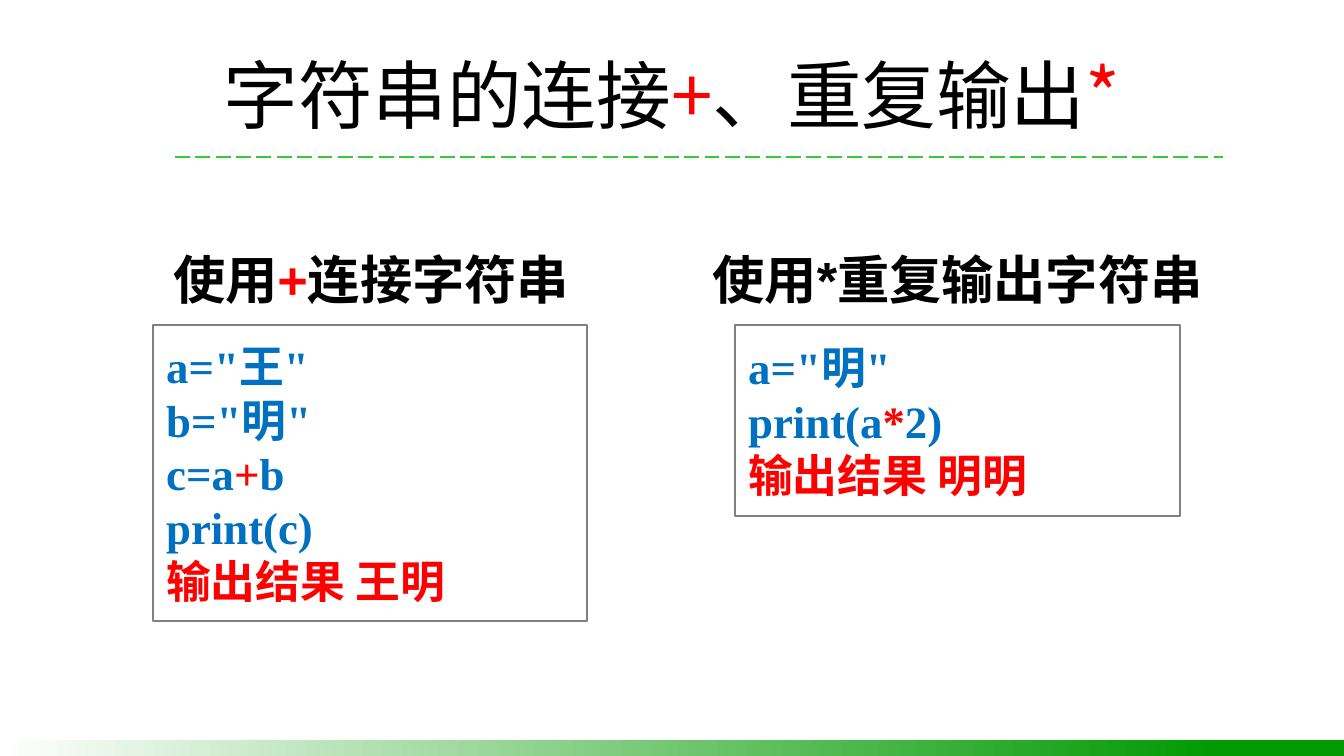
from lxml import etree
from pptx import Presentation, util as u
from pptx.dml.color import RGBColor
from pptx.enum import dml, shapes, text
from pptx.oxml.ns import qn

# Content: parts between bars are shown in red
TITLE = "字符串的连接|+|、重复输出|*|"
EXAMPLES = [
    {
        "heading": "使用|+|连接字符串",
        "heading_box": (122, 241, 498, 76),
        "code": ['a="王"', 'b="明"', "c=a|+|b", "print(c)", "|输出结果 王明|"],
        "code_box": (153, 325, 434, 296),
    },
    {
        "heading": "使用*重复输出字符串",
        "heading_box": (672, 241, 571, 76),
        "code": ['a="明"', "print(a|*|2)", "|输出结果 明明|"],
        "code_box": (735, 325, 445, 191),
    },
]

BLACK = RGBColor(0x00, 0x00, 0x00)
WHITE = RGBColor(0xFF, 0xFF, 0xFF)
RED = RGBColor(0xFF, 0x00, 0x00)
BLUE = RGBColor(0x00, 0x70, 0xC0)
GRAY = RGBColor(0x80, 0x80, 0x80)
GREEN = RGBColor(0x00, 0x99, 0x00)
LIGHT_GREEN = RGBColor(0x33, 0xCC, 0x33)

CJK_FONT = "Noto Sans CJK SC"
WIDTH, HEIGHT = 1344, 756
EMU_PER_PX = u.Inches(10) / WIDTH


def px(*lengths):
    return [u.Emu(round(length * EMU_PER_PX)) for length in lengths]


def write_text(shape, lines, size, font, color, bold=False,
               align=text.PP_ALIGN.LEFT, anchor=text.MSO_ANCHOR.MIDDLE):
    frame = shape.text_frame
    frame.word_wrap = True
    frame.vertical_anchor = anchor
    for number, line in enumerate(lines):
        paragraph = frame.paragraphs[0] if number == 0 else frame.add_paragraph()
        paragraph.alignment = align
        for index, part in enumerate(line.split("|")):
            if not part:
                continue
            run = paragraph.add_run()
            run.text = part
            run.font.size = u.Pt(size)
            run.font.name = font
            run.font.bold = bold
            run.font.color.rgb = RED if index % 2 else color
            # Font for the Chinese characters
            etree.SubElement(run.font._element, qn("a:ea"), typeface=CJK_FONT)


def add_rectangle(slide, box):
    shape = slide.shapes.add_shape(shapes.MSO_SHAPE.RECTANGLE, *px(*box))
    shape.shadow.inherit = False
    return shape


presentation = Presentation()
presentation.slide_width, presentation.slide_height = px(WIDTH, HEIGHT)
slide = presentation.slides.add_slide(presentation.slide_layouts[6])

# Dashed rule under the title
rule = slide.shapes.add_connector(shapes.MSO_CONNECTOR.STRAIGHT, *px(175, 157, 1223, 157))
rule.line.color.rgb = LIGHT_GREEN
rule.line.width = u.Pt(1)
rule.line.dash_style = dml.MSO_LINE.LONG_DASH
etree.SubElement(rule._element.spPr, qn("a:effectLst"))

# Footer band, green fading to white on the left
band = add_rectangle(slide, (0, 740, WIDTH, 16))
band.line.fill.background()
band.fill.gradient()
band.fill.gradient_angle = 180
for stop, (position, color) in zip(band.fill.gradient_stops, [(0.09, GREEN), (1, WHITE)]):
    stop.position = position
    stop.color.rgb = color

# Title
title = slide.shapes.add_textbox(*px(67, 31, 1210, 126))
write_text(title, [TITLE], 40, CJK_FONT, BLACK, align=text.PP_ALIGN.CENTER)

# Examples: heading above a framed code box
for example in EXAMPLES:
    code = add_rectangle(slide, example["code_box"])
    code.fill.solid()
    code.fill.fore_color.rgb = WHITE
    code.line.color.rgb = GRAY
    code.line.width = u.Pt(1)
    write_text(code, example["code"], 24, "Times New Roman", BLUE, bold=True)

    heading = slide.shapes.add_textbox(*px(*example["heading_box"]))
    write_text(heading, [example["heading"]], 28, "Arial", BLACK, bold=True,
               align=text.PP_ALIGN.CENTER, anchor=text.MSO_ANCHOR.TOP)

presentation.save("out.pptx")
